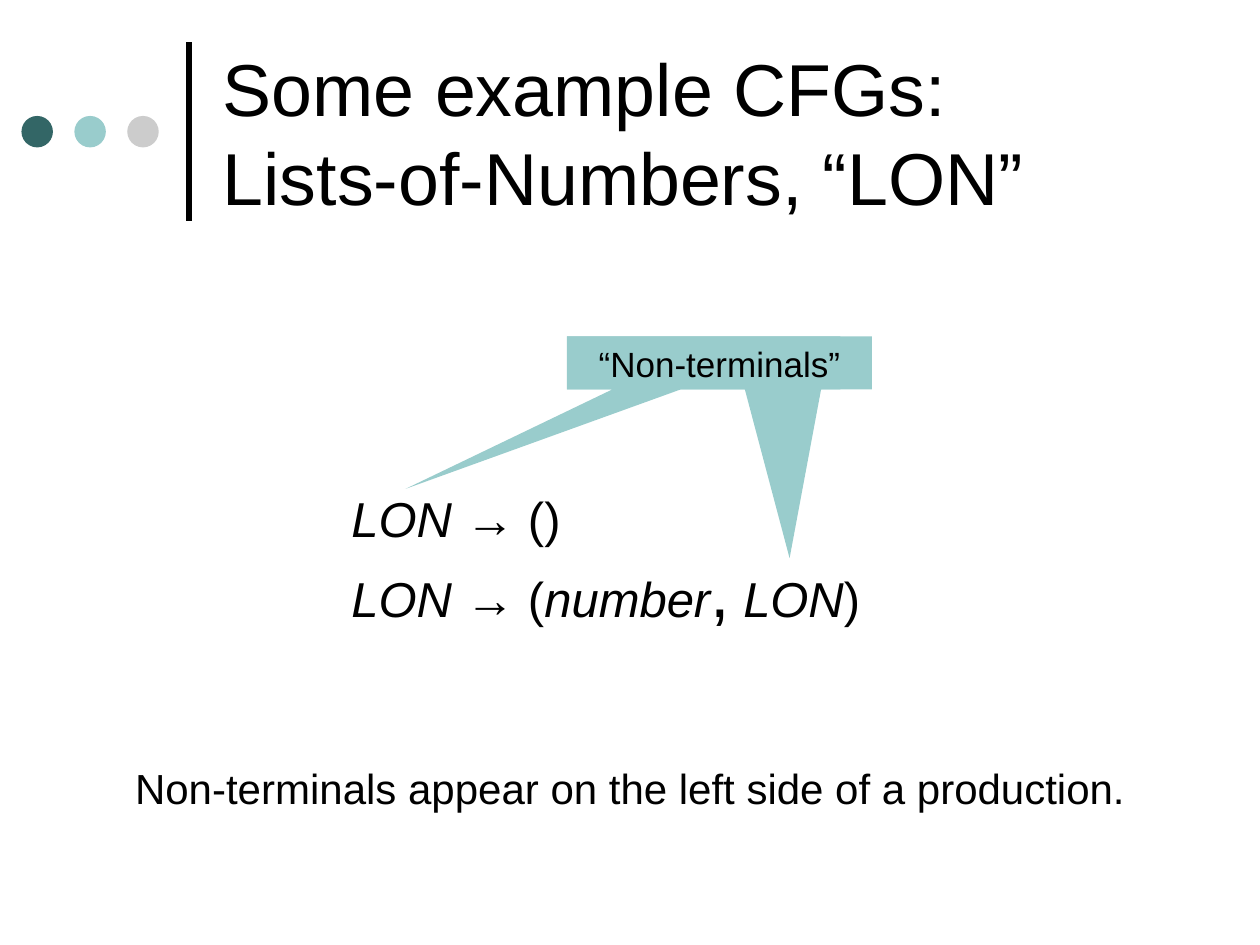
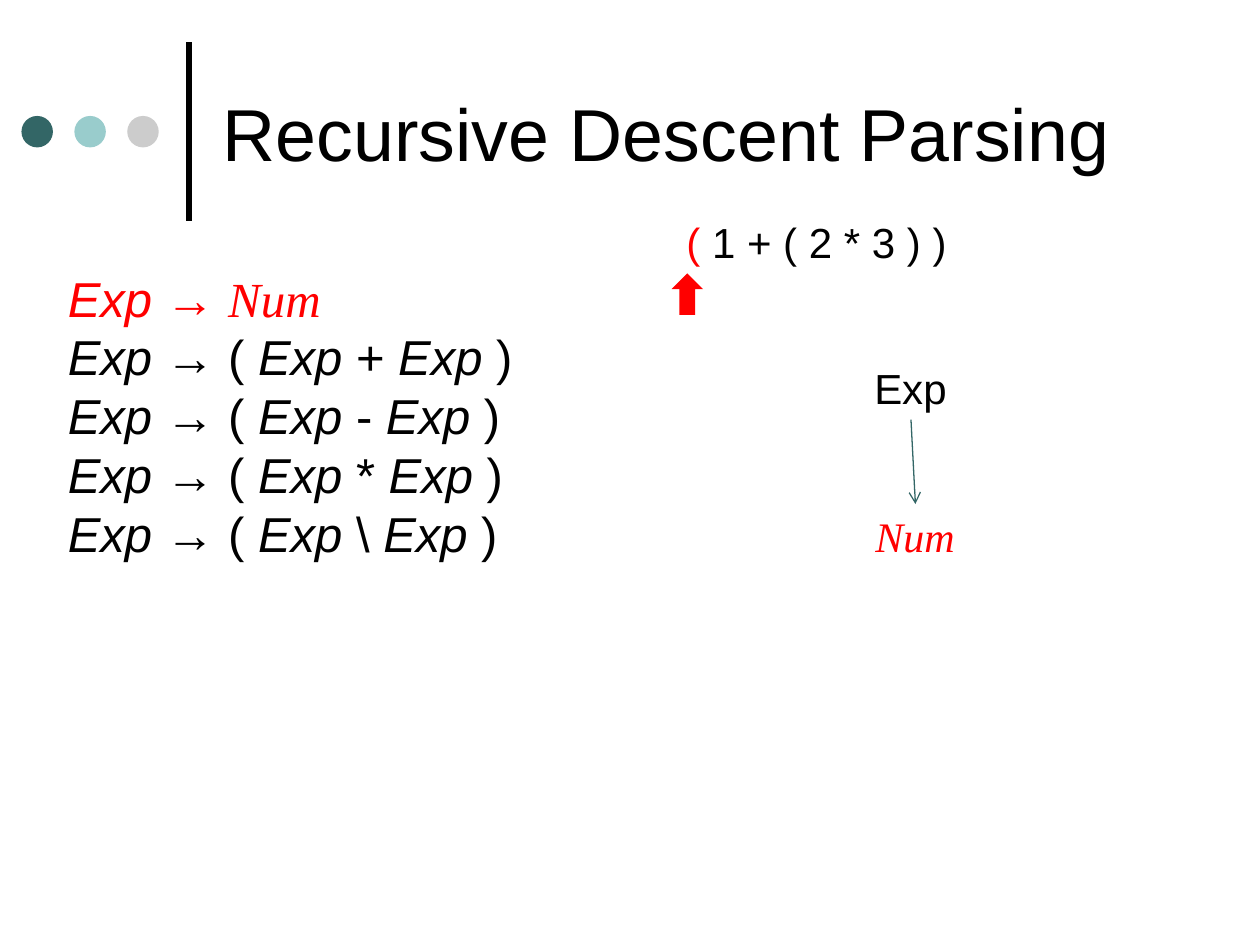
"""Build two slides on context-free grammars and recursive descent parsing."""
from typing import NamedTuple, Sequence

from lxml.etree import SubElement
from pptx import Presentation
from pptx.dml.color import RGBColor
from pptx.enum.shapes import MSO_CONNECTOR, MSO_SHAPE
from pptx.enum.text import MSO_ANCHOR, MSO_AUTO_SIZE, PP_ALIGN
from pptx.oxml.ns import qn
from pptx.shapes.autoshape import Shape
from pptx.shapes.connector import Connector
from pptx.slide import Slide
from pptx.util import Emu, Pt

PIXEL = 9144
BLACK = RGBColor(0x00, 0x00, 0x00)
RED = RGBColor(0xFF, 0x00, 0x00)
DARK_TEAL = RGBColor(0x33, 0x66, 0x66)
LIGHT_TEAL = RGBColor(0x99, 0xCC, 0xCC)
GRAY = RGBColor(0xCC, 0xCC, 0xCC)
SANS = "Arial"
SERIF = "Times New Roman"
LINE_HEIGHT = 1.2


class Area(NamedTuple):
    left: int
    top: int
    width: int
    height: int


class Span(NamedTuple):
    text: str
    size: int = 28
    italic: bool = False
    color: RGBColor = BLACK
    face: str = SANS


class Callout(NamedTuple):
    area: Area
    tip: tuple[float, float]
    label: str = ""


Line = Sequence[Span]

TITLE_AREA = Area(167, 21, 767, 167)
DOT_COLORS = (DARK_TEAL, LIGHT_TEAL, GRAY)
DOT_SIZE, DOT_PITCH = 25, 42
CALLOUTS = (
    Callout(Area(450, 267, 217, 42), (-1.09, 2.38)),
    Callout(Area(450, 267, 242, 42), (0.23, 3.69), "“Non-terminals”"),
)


def scale(*lengths: int) -> list[Emu]:
    """Turn pixel lengths into EMU."""
    return [Emu(length * PIXEL) for length in lengths]


def symbol(text: str, color: RGBColor = BLACK, face: str = SANS) -> Span:
    """Return an italic grammar symbol."""
    return Span(text, italic=True, color=color, face=face)


def write(shape: Shape, lines: Sequence[Line], align: PP_ALIGN = PP_ALIGN.LEFT,
          anchor: MSO_ANCHOR = MSO_ANCHOR.TOP, wrap: bool = True) -> None:
    """Fill a shape with one paragraph per line of spans."""
    frame = shape.text_frame
    frame.word_wrap = wrap
    frame.auto_size = MSO_AUTO_SIZE.NONE if wrap else MSO_AUTO_SIZE.SHAPE_TO_FIT_TEXT
    frame.vertical_anchor = anchor
    for index, line in enumerate(lines):
        para = frame.add_paragraph() if index else frame.paragraphs[0]
        para.alignment = align
        para.line_spacing = Pt(LINE_HEIGHT * max(span.size for span in line))
        for span in line:
            run = para.add_run()
            run.text = span.text
            run.font.size = Pt(span.size)
            run.font.italic = span.italic
            run.font.name = span.face
            run.font.color.rgb = span.color


def add_text(page: Slide, area: Area, lines: Sequence[Line],
             align: PP_ALIGN = PP_ALIGN.LEFT, anchor: MSO_ANCHOR = MSO_ANCHOR.TOP,
             wrap: bool = False) -> Shape:
    """Add a text box."""
    box = page.shapes.add_textbox(*scale(*area))
    write(box, lines, align, anchor, wrap)
    return box


def add_figure(page: Slide, kind: MSO_SHAPE, area: Area, color: RGBColor) -> Shape:
    """Add a flat preset shape without an outline."""
    figure = page.shapes.add_shape(kind, *scale(*area))
    figure.shadow.inherit = False
    figure.fill.solid()
    figure.fill.fore_color.rgb = color
    figure.line.fill.background()
    return figure


def add_line(page: Slide, start: tuple[int, int], end: tuple[int, int],
             color: RGBColor, weight: float) -> Connector:
    """Add a straight line without a shadow."""
    line = page.shapes.add_connector(MSO_CONNECTOR.STRAIGHT, *scale(*start, *end))
    line.line.color.rgb = color
    line.line.width = Pt(weight)
    SubElement(line._element.spPr, qn("a:effectLst"))
    return line


def add_page(deck: Presentation, title: str) -> Slide:
    """Add a blank page with the shared rule, dots and title."""
    page = deck.slides.add_slide(deck.slide_layouts[6])
    add_line(page, (150, 175), (150, 33), BLACK, 3)
    for index, color in enumerate(DOT_COLORS):
        dot = Area(17 + index * DOT_PITCH, 92, DOT_SIZE, DOT_SIZE)
        add_figure(page, MSO_SHAPE.OVAL, dot, color)
    lines = [[Span(text, 42)] for text in title.splitlines()]
    add_text(page, TITLE_AREA, lines, anchor=MSO_ANCHOR.MIDDLE, wrap=True)
    return page


def build_list_grammar(deck: Presentation) -> None:
    """Show the grammar for lists of numbers."""
    page = add_page(deck, "Some example CFGs:\nLists-of-Numbers, “LON”")
    add_text(page, Area(269, 383, 424, 124), [
        [symbol("LON "), Span("→ ()")],
        [symbol("LON "), Span("→ ("), symbol("number"), Span(",", 40),
         Span(" "), symbol("LON"), Span(")")],
    ])
    remark = Span("Non-terminals appear on the left side of a production.", 24)
    add_text(page, Area(0, 600, 1000, 50), [[remark]], PP_ALIGN.CENTER, wrap=True)
    for callout in CALLOUTS:
        figure = add_figure(page, MSO_SHAPE.RECTANGULAR_CALLOUT, callout.area, LIGHT_TEAL)
        figure.adjustments[0], figure.adjustments[1] = callout.tip
        if callout.label:
            write(figure, [[Span(callout.label, 20)]], PP_ALIGN.CENTER)


def build_parsing(deck: Presentation) -> None:
    """Show the first step of parsing an expression."""
    page = add_page(deck, "Recursive Descent Parsing")
    productions = [[symbol("Exp ", RED), Span("→ ", color=RED), symbol("Num", RED, SERIF)]]
    for operator in ("+", "-", "*", "\\"):
        productions.append([symbol("Exp "), Span("→ ( "), symbol("Exp"),
                            Span(f" {operator} "), symbol("Exp "), Span(")")])
    add_text(page, Area(44, 208, 374, 244), productions)
    add_text(page, Area(535, 167, 227, 50),
             [[Span("( ", 24, color=RED), Span("1 + ( 2 * 3 ) )", 24)]])
    add_figure(page, MSO_SHAPE.UP_ARROW, Area(533, 217, 25, 33), RED)
    parent = add_text(page, Area(684, 283, 78, 50), [[Span("Exp", 24)]])
    child = add_text(page, Area(685, 400, 83, 50), [[Span("Num", 24, True, RED, SERIF)]])
    branch = add_line(page, (722, 333), (726, 400), DARK_TEAL, 0.75)
    branch.begin_connect(parent, 2)
    branch.end_connect(child, 0)
    SubElement(branch.line._get_or_add_ln(), qn("a:tailEnd"), type="arrow")


def main() -> None:
    """Build and save the deck."""
    deck = Presentation()
    deck.slide_width, deck.slide_height = scale(1000, 750)
    build_list_grammar(deck)
    build_parsing(deck)
    deck.save("out.pptx")


if __name__ == "__main__":
    main()
